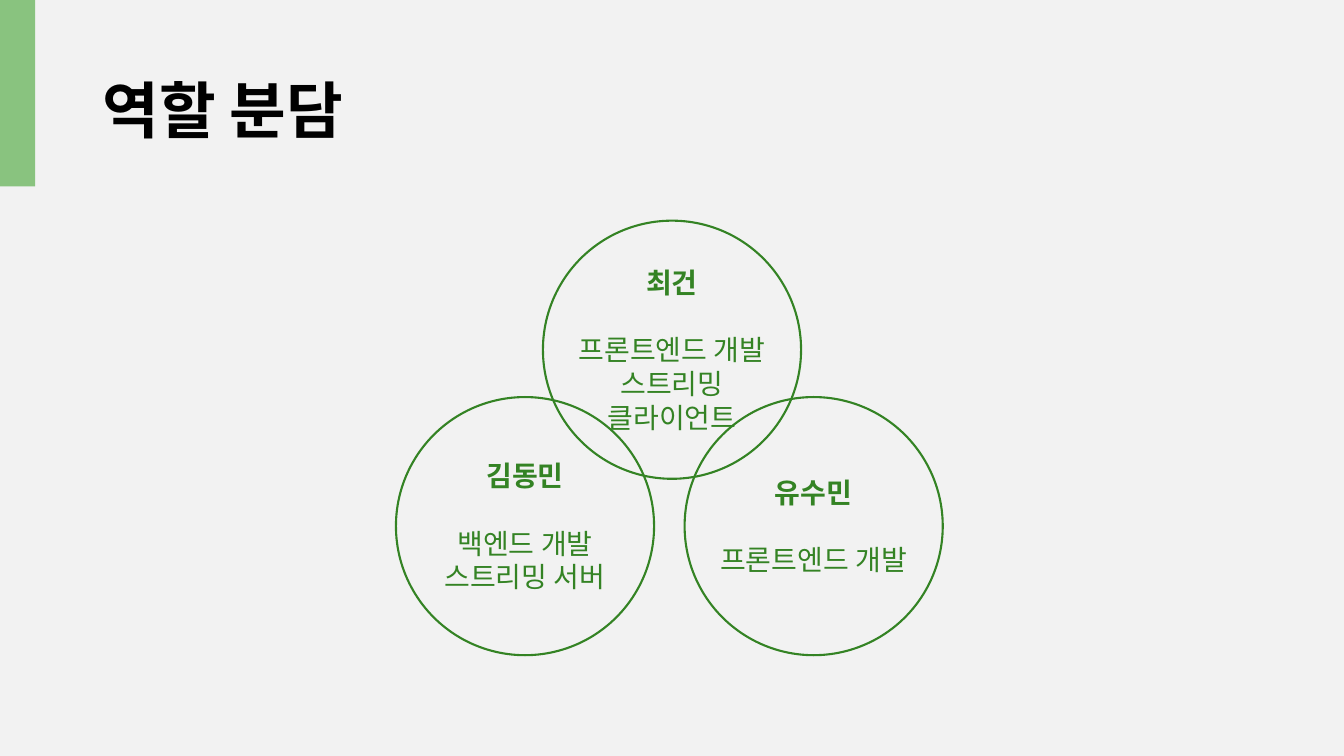
from pptx import Presentation
from pptx.dml.color import RGBColor
from pptx.enum.shapes import MSO_SHAPE as SHAPE
from pptx.enum.text import MSO_ANCHOR as ANCHOR, MSO_AUTO_SIZE as AUTO, PP_ALIGN as ALIGN
from pptx.util import Pt


def rgb(value):
    return RGBColor.from_string(value)


class RoleSlide:
    BACK, BAR, GREEN, BLACK = "F2F2F2", "89C37F", "348324", "000000"
    DIAMETER, TEXT_WIDTH, LINE_HEIGHT, INSETS = 184.4, 176.4, 24, 8

    def __init__(self, prs):
        self.s = prs.slides.add_slide(prs.slide_layouts[5])
        fill = self.s.background.fill
        fill.solid()
        fill.fore_color.rgb = rgb(self.BACK)

    def font(self, p, name, size, color, bold):
        for r in p.runs:
            r.font.name, r.font.size, r.font.bold = name, Pt(size), bold
            r.font.color.rgb = rgb(color)

    def title(self, text, x, y, w, h):
        sp = self.s.shapes.title
        sp.left, sp.top, sp.width, sp.height = Pt(x), Pt(y), Pt(w), Pt(h)
        tf = sp.text_frame
        tf.text = text
        tf.auto_size, tf.vertical_anchor = AUTO.NONE, ANCHOR.MIDDLE
        p = tf.paragraphs[0]
        p.alignment, p.line_spacing = ALIGN.LEFT, 0.9
        self.font(p, "Arial", 44, self.BLACK, True)

    def bar(self, x, y, w, h):
        sp = self.s.shapes.add_shape(SHAPE.RECTANGLE, Pt(x), Pt(y), Pt(w), Pt(h))
        sp.shadow.inherit = False
        sp.fill.solid()
        sp.fill.fore_color.rgb = rgb(self.BAR)
        sp.line.fill.background()

    def circle(self, cx, cy):
        d = self.DIAMETER
        sp = self.s.shapes.add_shape(SHAPE.OVAL, Pt(cx - d / 2), Pt(cy - d / 2), Pt(d), Pt(d))
        sp.shadow.inherit = False
        sp.fill.background()
        sp.line.color.rgb = rgb(self.GREEN)
        sp.line.width = Pt(1.5)

    def label(self, cx, cy, name, tasks, lines):
        w, h = self.TEXT_WIDTH, lines * self.LINE_HEIGHT + self.INSETS
        sp = self.s.shapes.add_textbox(Pt(cx - w / 2), Pt(cy - h / 2), Pt(w), Pt(h))
        tf = sp.text_frame
        tf.text = "\n".join([name, *tasks])
        tf.word_wrap, tf.vertical_anchor = True, ANCHOR.MIDDLE
        for i, p in enumerate(tf.paragraphs):
            p.alignment = ALIGN.CENTER
            self.font(p, "Calibri" if i else "Lato", 20, self.GREEN, i == 0)
        tf.paragraphs[1].space_before = Pt(self.LINE_HEIGHT)

    def member(self, cx, cy, name, tasks, lines):
        self.circle(cx, cy)
        self.label(cx, cy, name, tasks, lines)


def main():
    prs = Presentation()
    prs.slide_width, prs.slide_height = Pt(960), Pt(540)
    slide = RoleSlide(prs)
    slide.bar(0, 0, 25.2, 133.2)
    slide.title("역할 분담", 66, 28.8, 828, 104.4)
    slide.member(480, 249.8, "최건", ["프론트엔드 개발", "스트리밍 클라이언트"], 5)
    slide.member(375, 375.8, "김동민", ["백엔드 개발", "스트리밍 서버"], 4)
    slide.member(581.2, 375.8, "유수민", ["프론트엔드 개발"], 3)
    prs.save("out.pptx")


if __name__ == "__main__":
    main()
